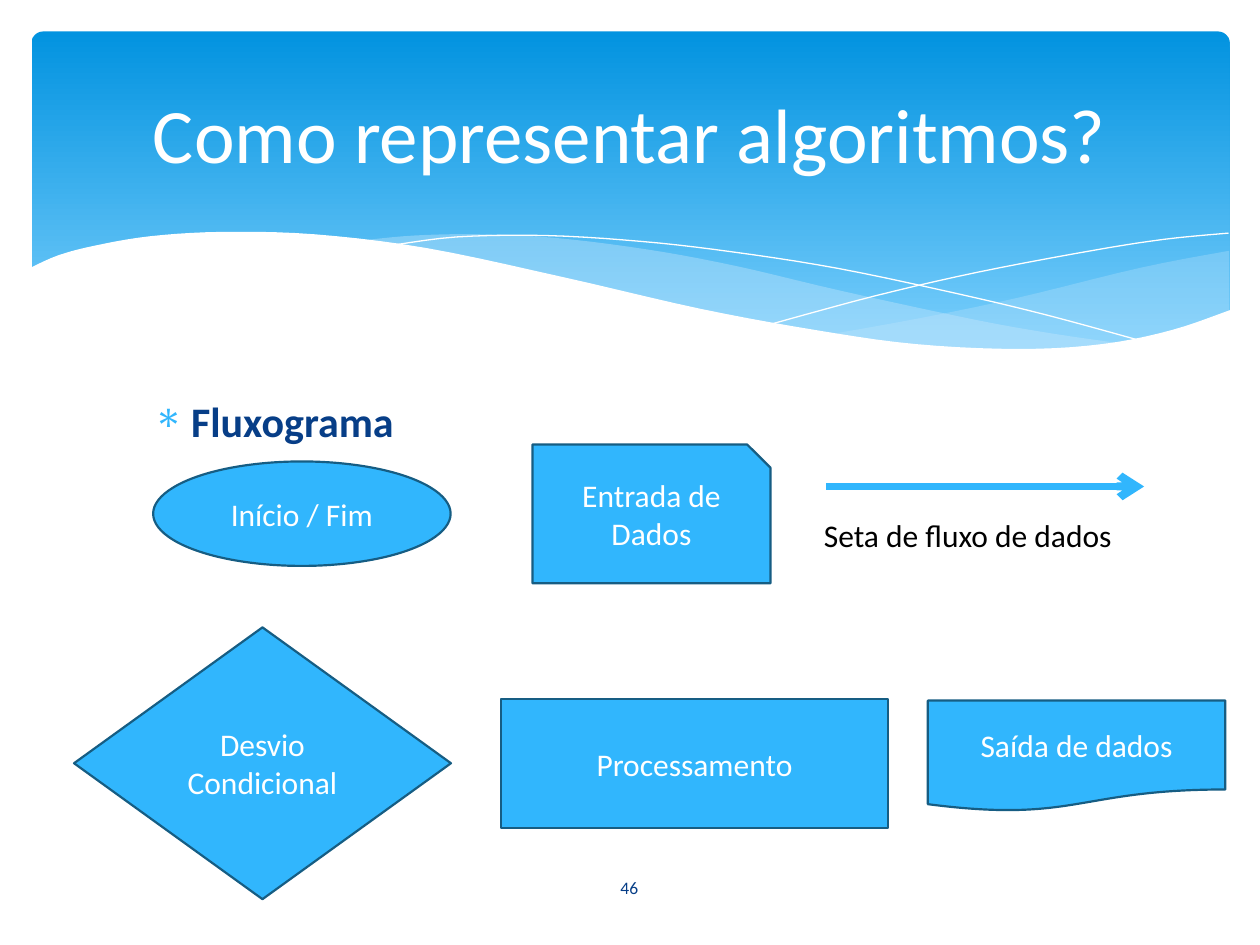
from lxml.etree import SubElement
from pptx import Presentation
from pptx.dml.color import RGBColor
from pptx.enum.shapes import MSO_CONNECTOR, MSO_SHAPE
from pptx.enum.text import MSO_ANCHOR, PP_ALIGN
from pptx.oxml.ns import qn
from pptx.util import Pt

WHITE, BLACK, NAVY = "FFFFFF", "000000", "073E87"
BLUE, OUTLINE, MIST = "31B6FD", "165D83", "C6E7FC"


def color(value):
    return RGBColor.from_string(value)


def smooth(anchors, steps=5):
    """Return points of a Catmull-Rom curve through the anchors."""
    padded = [anchors[0], *anchors, anchors[-1]]
    points = [anchors[0]]
    for a, b, c, d in zip(padded, padded[1:], padded[2:], padded[3:]):
        for step in range(1, steps + 1):
            t = step / steps
            points.append(tuple(
                (2 * q + (r - p) * t + (2 * p - 5 * q + 4 * r - s) * t ** 2
                 + (3 * q - p - 3 * r + s) * t ** 3) / 2
                for p, q, r, s in zip(a, b, c, d)))
    return points


class FlowSlide:
    font = "Calibri"

    def __init__(self, presentation):
        self.slide = presentation.slides.add_slide(presentation.slide_layouts[5])
        self.shapes = self.slide.shapes

    def set_text(self, shape, text, size, text_color, align, anchor, bold=False, wrap=True):
        frame = shape.text_frame
        frame.text = text
        frame.word_wrap = wrap
        frame.vertical_anchor = anchor
        paragraph = frame.paragraphs[0]
        paragraph.alignment = align
        for run in paragraph.runs:
            run.font.name = self.font
            run.font.size = Pt(size)
            run.font.bold = bold
            run.font.color.rgb = color(text_color)
        return paragraph

    def title(self, text, box):
        title = self.shapes.title
        title.left, title.top, title.width, title.height = map(Pt, box)
        self.set_text(title, text, 44, WHITE, PP_ALIGN.CENTER, MSO_ANCHOR.MIDDLE)
        self.shapes.element.append(title.element)  # bring in front of the banner

    def text(self, text, box, size, text_color, align=PP_ALIGN.LEFT,
             anchor=MSO_ANCHOR.TOP, **options):
        shape = self.shapes.add_textbox(*map(Pt, box))
        return self.set_text(shape, text, size, text_color, align, anchor, **options)

    def bullet(self, text, box):
        paragraph = self.text(text, box, 24, NAVY, PP_ALIGN.JUSTIFY, bold=True)
        properties = paragraph._p.get_or_add_pPr()
        properties.set("marL", str(Pt(21.6)))
        properties.set("indent", str(-Pt(21.6)))
        bullet_color = SubElement(properties, qn("a:buClr"))
        SubElement(bullet_color, qn("a:srgbClr"), val=BLUE)
        SubElement(properties, qn("a:buChar"), char="∗")

    def banner(self, box, top_color, bottom_color):
        shape = self.shapes.add_shape(MSO_SHAPE.ROUNDED_RECTANGLE, *map(Pt, box))
        shape.adjustments[0] = 0.034
        shape.shadow.inherit = False
        shape.fill.gradient()
        shape.fill.gradient_angle = 270
        for stop, value in zip(shape.fill.gradient_stops, (top_color, bottom_color)):
            stop.color.rgb = color(value)
        shape.line.fill.background()

    def outline(self, points, closed=True):
        first, *rest = [(Pt(x), Pt(y)) for x, y in points]
        builder = self.shapes.build_freeform(*first)
        builder.add_line_segments(rest, close=closed)
        shape = builder.convert_to_shape()
        shape.shadow.inherit = False
        return shape

    def wave(self, points, fill, opacity=100):
        shape = self.outline(points)
        shape.fill.solid()
        shape.fill.fore_color.rgb = color(fill)
        shape.line.fill.background()
        if opacity < 100:
            fill_color = shape.element.spPr.find(qn("a:solidFill"))[0]
            SubElement(fill_color, qn("a:alpha"), val=str(opacity * 1000))

    def hairline(self, points):
        shape = self.outline(points, closed=False)
        shape.fill.background()
        shape.line.color.rgb = color(WHITE)
        shape.line.width = Pt(0)

    def symbol(self, shape, text):
        shape.shadow.inherit = False
        shape.fill.solid()
        shape.fill.fore_color.rgb = color(BLUE)
        shape.line.color.rgb = color(OUTLINE)
        shape.line.width = Pt(1.25)
        self.set_text(shape, text, 18, WHITE, PP_ALIGN.CENTER, MSO_ANCHOR.MIDDLE)

    def preset(self, kind, text, box):
        self.symbol(self.shapes.add_shape(kind, *map(Pt, box)), text)

    def card(self, text, box, cut):
        left, top, width, height = box
        right, bottom = left + width, top + height
        self.symbol(self.outline([(left, top), (right - cut, top), (right, top + cut),
                                  (right, bottom), (left, bottom)]), text)

    def arrow(self, start, end):
        connector = self.shapes.add_connector(MSO_CONNECTOR.STRAIGHT, *map(Pt, start + end))
        connector.line.color.rgb = color(BLUE)
        connector.line.width = Pt(4.5)
        properties = connector.element.spPr
        SubElement(properties.find(qn("a:ln")), qn("a:tailEnd"), type="arrow")
        SubElement(properties, qn("a:effectLst"))


def main():
    presentation = Presentation()
    presentation.slide_width, presentation.slide_height = Pt(720), Pt(540)
    page = FlowSlide(presentation)

    # Banner with translucent waves
    page.banner((18, 18, 684.7, 194.4), "0293E0", "83D3FE")
    page.wave(smooth([(702.5, 143.3), (652, 153), (580, 170.6), (525, 182), (476, 190.8)])
              + smooth([(476, 190.8), (527, 197.3), (578, 200), (628, 197.3),
                        (673, 188), (702.5, 177.8)]), MIST, 29)
    page.wave(smooth([(206, 137.5), (237, 134.6), (274, 133.9), (317.5, 136),
                      (370, 142.6), (420.5, 152), (481, 166.3), (558, 182.9),
                      (602.6, 190.8), (643, 196.6)])
              + smooth([(643, 196.6), (602, 199.4), (551, 199.4), (491, 194),
                        (432.7, 185.8), (381.6, 172.8), (323, 159.8),
                        (260.6, 146), (206, 137.5)]), MIST, 40)
    page.hairline(smooth([(222.5, 140.4), (261, 135.4), (312, 134.6), (367, 138),
                          (419, 144), (479, 153.4), (547, 167.8), (598, 180), (653, 195)]))
    page.hairline(smooth([(441.4, 185), (500.4, 169), (559, 155.5), (623.5, 143.3),
                          (665, 136.8), (702, 133.2)]))
    page.wave(smooth([(703.4, 177), (669.6, 188.6), (630, 196.6), (582.5, 199.4),
                      (523, 196.6), (466, 188.6), (400, 176.4), (322, 158.4),
                      (244, 141.8), (180, 133.9), (127, 132.5), (85.7, 135),
                      (54, 140.4), (33, 146), (16.6, 153.4)])
              + [(16.6, 237), (703.4, 237)], WHITE)

    # Title, slide number and heading
    page.title("Como representar algoritmos?", (36, 26.6, 648, 98.6))
    page.text("46", (313.9, 492.5, 91.4, 28.8), 10, NAVY,
              PP_ALIGN.CENTER, MSO_ANCHOR.MIDDLE)
    page.bullet("Fluxograma", (80.6, 222.5, 583.2, 271.4))

    # Flowchart symbols
    page.preset(MSO_SHAPE.OVAL, "Início / Fim", (87.5, 263.7, 170, 59.7))
    page.arrow((472.3, 278), (653.8, 278))
    page.text("Seta de fluxo de dados", (463.7, 291.6, 206, 28.8), 18, BLACK, wrap=False)
    page.card("Entrada de Dados", (304.3, 254, 136, 79.3), 13.3)
    page.preset(MSO_SHAPE.DIAMOND, "Desvio Condicional", (42.3, 358.5, 215.4, 155.3))
    page.preset(MSO_SHAPE.RECTANGLE, "Processamento", (286.4, 399.5, 221, 73.6))
    page.preset(MSO_SHAPE.FLOWCHART_DOCUMENT, "Saída de dados", (530.2, 400.3, 170, 63.4))

    presentation.save("out.pptx")


if __name__ == "__main__":
    main()
